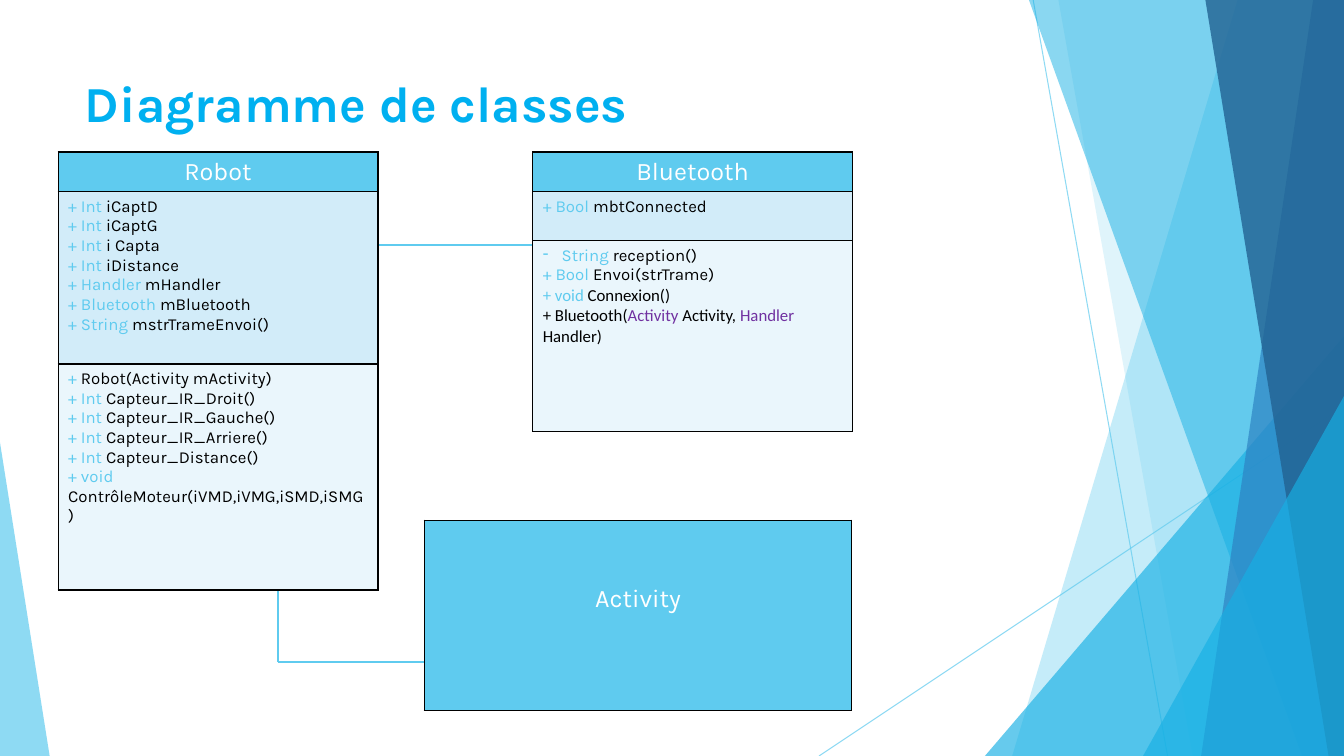
from lxml import etree
from pptx import Presentation
from pptx.dml.color import RGBColor
from pptx.enum.shapes import MSO_CONNECTOR, MSO_SHAPE
from pptx.enum.text import MSO_ANCHOR, MSO_AUTO_SIZE, PP_ALIGN
from pptx.oxml.ns import qn
from pptx.util import Pt

STRAIGHT = MSO_CONNECTOR.STRAIGHT
TRIANGLE = MSO_SHAPE.ISOSCELES_TRIANGLE
TOP = MSO_ANCHOR.TOP
NO_FIT = MSO_AUTO_SIZE.NONE
LEFT, CENTER = PP_ALIGN.LEFT, PP_ALIGN.CENTER

WIDTH, HEIGHT = 960, 540
SKY, CYAN, BLACK, WHITE, PURPLE = "5FCBEF", "17B0E4", "000000", "FFFFFF", "7030A0"
ROW_FILLS = [SKY, "D2ECF9", "EAF6FC"]

PANELS = [
    (884, 723, SKY, 36),
    (756, 852, SKY, 20),
    (735, 930, CYAN, 50),
    (938, 858, "2E83C3", 70),
    (861, 949, "226292", 80),
]

ROBOT_FIELDS = [
    ("+ Int ", "iCaptD"),
    ("+ Int ", "iCaptG"),
    ("+ Int", " i Capta"),
    ("+ Int ", "iDistance"),
    ("+ Handler ", "mHandler"),
    ("+ Bluetooth ", "mBluetooth"),
    ("+ String ", "mstrTrameEnvoi()"),
]
ROBOT_METHODS = [
    ("+", " Robot(Activity mActivity)"),
    ("+ Int ", "Capteur_IR_Droit()"),
    ("+ Int ", "Capteur_IR_Gauche()"),
    ("+ Int ", "Capteur_IR_Arriere()"),
    ("+ Int ", "Capteur_Distance()"),
    ("+ void ", "ContrôleMoteur(iVMD,iVMG,iSMD,iSMG)"),
]
BLUETOOTH_FIELDS = [("+ Bool ", "mbtConnected")]
BLUETOOTH_METHODS = [("String ", "reception()"), ("+ Bool", " Envoi(strTrame)")]
CONNECTION = [("+ void ", SKY), ("Connexion()", BLACK)]
CONSTRUCTOR = [
    ("+ Bluetooth(", BLACK),
    ("Activity ", PURPLE),
    ("Activity, ", BLACK),
    ("Handler ", PURPLE),
    ("Handler)", BLACK),
]


def color(value):
    return RGBColor.from_string(value)


def set_alpha(parent, percent):
    tint = next(parent.iter(qn("a:srgbClr")))
    etree.SubElement(tint, qn("a:alpha")).set("val", str(percent * 1000))


def paint(shape, fill, percent):
    shape.shadow.inherit = False
    shape.fill.solid()
    shape.fill.fore_color.rgb = color(fill)
    set_alpha(shape.element.spPr.find(qn("a:solidFill")), percent)
    shape.line.fill.background()


def add_line(slide, start, end, width=1, percent=100):
    line = slide.shapes.add_connector(STRAIGHT, *map(Pt, start + end))
    line.line.color.rgb = color(SKY)
    line.line.width = Pt(width)
    properties = line.element.spPr
    if percent < 100:
        set_alpha(properties, percent)
    etree.SubElement(properties, qn("a:effectLst"))


def add_triangle(slide, box, apex, fill, percent):
    triangle = slide.shapes.add_shape(TRIANGLE, *map(Pt, box))
    triangle.adjustments[0] = apex
    paint(triangle, fill, percent)


def add_panel(slide, top_x, bottom_x, fill, percent):
    builder = slide.shapes.build_freeform(Pt(top_x), 0)
    corners = [(WIDTH, 0), (WIDTH, HEIGHT), (bottom_x, HEIGHT)]
    builder.add_line_segments([(Pt(x), Pt(y)) for x, y in corners])
    paint(builder.convert_to_shape(), fill, percent)


def add_backdrop(slide):
    add_line(slide, (738, 0), (834, HEIGHT), 0.75, 70)
    add_line(slide, (WIDTH, 290), (585, HEIGHT), 0.75, 70)
    for panel in PANELS[:2]:
        add_panel(slide, *panel)
    add_triangle(slide, (703.5, 240, 256.5, 300), 1, CYAN, 66)
    for panel in PANELS[2:]:
        add_panel(slide, *panel)
    add_triangle(slide, (816.5, 283, 143.5, 257), 1, CYAN, 66)
    add_triangle(slide, (0, 316, 35.5, 224), 0, SKY, 70)


def add_title(slide, box):
    title = slide.shapes.title
    title.left, title.top, title.width, title.height = map(Pt, box)
    frame = title.text_frame
    frame.text = "Diagramme de classes"
    frame.vertical_anchor = TOP
    frame.auto_size = NO_FIT
    frame.word_wrap = True
    para = frame.paragraphs[0]
    para.alignment = LEFT
    format_span(para.runs[0], 36, "00B0F0", "Karla")
    para.runs[0].font.bold = True


def format_span(span, size, tint, font):
    span.font.size = Pt(size)
    span.font.name = font
    span.font.color.rgb = color(tint)


def style_cell(cell, fill):
    properties = cell._tc.get_or_add_tcPr()
    for side in ("lnL", "lnR", "lnT", "lnB"):
        border = etree.SubElement(properties, qn(f"a:{side}"), w=str(Pt(1)))
        solid = etree.SubElement(border, qn("a:solidFill"))
        etree.SubElement(solid, qn("a:srgbClr"), val=BLACK)
    cell.fill.solid()
    cell.fill.fore_color.rgb = color(fill)


def add_member(frame, index, spans, font="Karla"):
    para = frame.paragraphs[0] if index == 0 else frame.add_paragraph()
    for text, tint in spans:
        span = para.add_run()
        span.text = text
        format_span(span, 12, tint, font)


def add_class(slide, left, top, width, heights, name, *sections):
    box = map(Pt, (left, top, width, sum(heights)))
    table = slide.shapes.add_table(len(heights), 1, *box).table
    for row, height, fill in zip(table.rows, heights, ROW_FILLS):
        row.height = Pt(height)
        style_cell(row.cells[0], fill)
    heading = table.cell(0, 0)
    heading.text_frame.text = name
    para = heading.text_frame.paragraphs[0]
    para.alignment = CENTER
    format_span(para.runs[0], 18, WHITE, "Karla")
    for number, members in enumerate(sections, 1):
        frame = table.cell(number, 0).text_frame
        for index, (kind, member) in enumerate(members):
            add_member(frame, index, [(kind, SKY), (member, BLACK)])
    return table


def add_dash(para):
    properties = para._p.get_or_add_pPr()
    properties.set("marL", str(Pt(13.5)))
    properties.set("indent", str(Pt(-13.5)))
    etree.SubElement(properties, qn("a:buChar"), char="-")


def add_diagram(slide, left, top):
    add_line(slide, (left + 339, top + 364.5), (left + 157, top + 364.5))
    add_line(slide, (left + 157, top + 364.5), (left + 157, top + 300))
    add_line(slide, (left + 175, top + 66.5), (left + 396, top + 66.5))
    add_class(slide, left, top, 228.5, [28.5, 123, 161.5],
              "Robot", ROBOT_FIELDS, ROBOT_METHODS)
    bluetooth = add_class(slide, left + 339, top, 228.5, [28.5, 35, 136],
                          "Bluetooth", BLUETOOTH_FIELDS, BLUETOOTH_METHODS)
    methods = bluetooth.cell(2, 0).text_frame
    add_dash(methods.paragraphs[0])
    for index, spans in enumerate([CONNECTION, CONSTRUCTOR], 2):
        add_member(methods, index, spans, "Calibri")
    activity = add_class(slide, left + 261.5, top + 263, 305.5, [136], "Activity")
    activity.cell(0, 0).margin_top = Pt(46)


def main():
    deck = Presentation()
    deck.slide_width, deck.slide_height = Pt(WIDTH), Pt(HEIGHT)
    slide = deck.slides.add_slide(deck.slide_layouts[5])
    add_backdrop(slide)
    add_title(slide, (53.5, 48, 677, 104))
    add_diagram(slide, 41.5, 108.5)
    deck.save("out.pptx")


if __name__ == "__main__":
    main()
